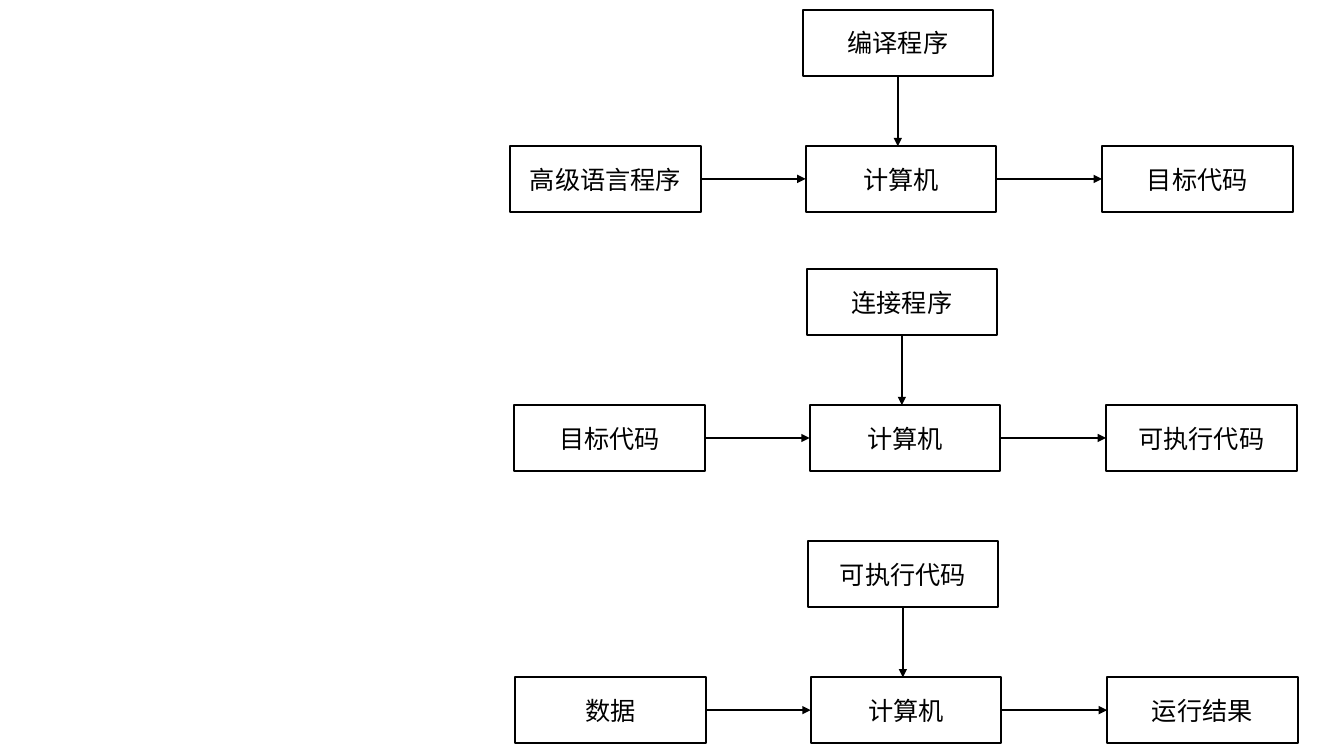
from lxml import etree
from pptx import Presentation
from pptx.dml.color import RGBColor
from pptx.enum.shapes import MSO_CONNECTOR, MSO_SHAPE
from pptx.enum.text import MSO_ANCHOR, PP_ALIGN
from pptx.oxml.ns import qn
from pptx.util import Inches, Pt

RECTANGLE = MSO_SHAPE.RECTANGLE
STRAIGHT = MSO_CONNECTOR.STRAIGHT
MIDDLE = MSO_ANCHOR.MIDDLE
CENTER = PP_ALIGN.CENTER
BLACK = RGBColor(0, 0, 0)
FONT_NAME = "Noto Sans CJK SC"
FONT_FORMAT = {"name": FONT_NAME, "size": Pt(18)}
LINE_WIDTH = Pt(1.5)

BOX_WIDTH, BOX_HEIGHT = 1.89, 0.65
PROGRAM_LEFT, COMPUTER_LEFT, OUTPUT_LEFT = 2.9, 2.93, 5.87
ROW_STEP = 1.35

STAGES = [
    (5.06, 0.1, "编译程序", "高级语言程序", "目标代码"),
    (5.1, 2.67, "连接程序", "目标代码", "可执行代码"),
    (5.11, 5.37, "可执行代码", "数据", "运行结果"),
]


def add_box(slide, left, top, text):
    """Add an outlined box with a centred label."""
    shape = slide.shapes.add_shape(
        RECTANGLE, Inches(left), Inches(top), Inches(BOX_WIDTH), Inches(BOX_HEIGHT)
    )
    shape.shadow.inherit = False
    shape.fill.background()
    shape.line.color.rgb = BLACK
    shape.line.width = LINE_WIDTH
    shape.text_frame.vertical_anchor = MIDDLE
    paragraph = shape.text_frame.paragraphs[0]
    paragraph.alignment = CENTER
    run = paragraph.add_run()
    run.text = text
    for attribute, value in FONT_FORMAT.items():
        setattr(run.font, attribute, value)
    run.font.color.rgb = BLACK
    properties = run._r.get_or_add_rPr()
    etree.SubElement(properties, qn("a:ea"), typeface=FONT_NAME)


def add_arrow(slide, start_x, start_y, end_x, end_y):
    """Add a straight arrow that points at its end."""
    connector = slide.shapes.add_connector(
        STRAIGHT, Inches(start_x), Inches(start_y), Inches(end_x), Inches(end_y)
    )
    connector.line.color.rgb = BLACK
    connector.line.width = LINE_WIDTH
    etree.SubElement(connector.line._get_or_add_ln(), qn("a:tailEnd"), type="triangle")
    etree.SubElement(connector._element.spPr, qn("a:effectLst"))


def add_stage(slide, left, top, program, source, result):
    """Draw one stage: program and source enter the computer, a result leaves."""
    row_top = top + ROW_STEP
    row_middle = row_top + BOX_HEIGHT / 2
    program_left = left + PROGRAM_LEFT
    computer_left = left + COMPUTER_LEFT
    output_left = left + OUTPUT_LEFT
    program_center = program_left + BOX_WIDTH / 2

    add_box(slide, program_left, top, program)
    add_box(slide, computer_left, row_top, "计算机")
    add_box(slide, left, row_top, source)
    add_box(slide, output_left, row_top, result)
    add_arrow(slide, program_center, top + BOX_HEIGHT, program_center, row_top)
    for start, end in ((left, computer_left), (computer_left, output_left)):
        add_arrow(slide, start + BOX_WIDTH, row_middle, end, row_middle)


def main():
    """Build the slide and save the presentation."""
    presentation = Presentation()
    presentation.slide_width = Inches(13.33)
    presentation.slide_height = Inches(7.5)
    slide = presentation.slides.add_slide(presentation.slide_layouts[6])
    for stage in STAGES:
        add_stage(slide, *stage)
    presentation.save("out.pptx")


if __name__ == "__main__":
    main()
